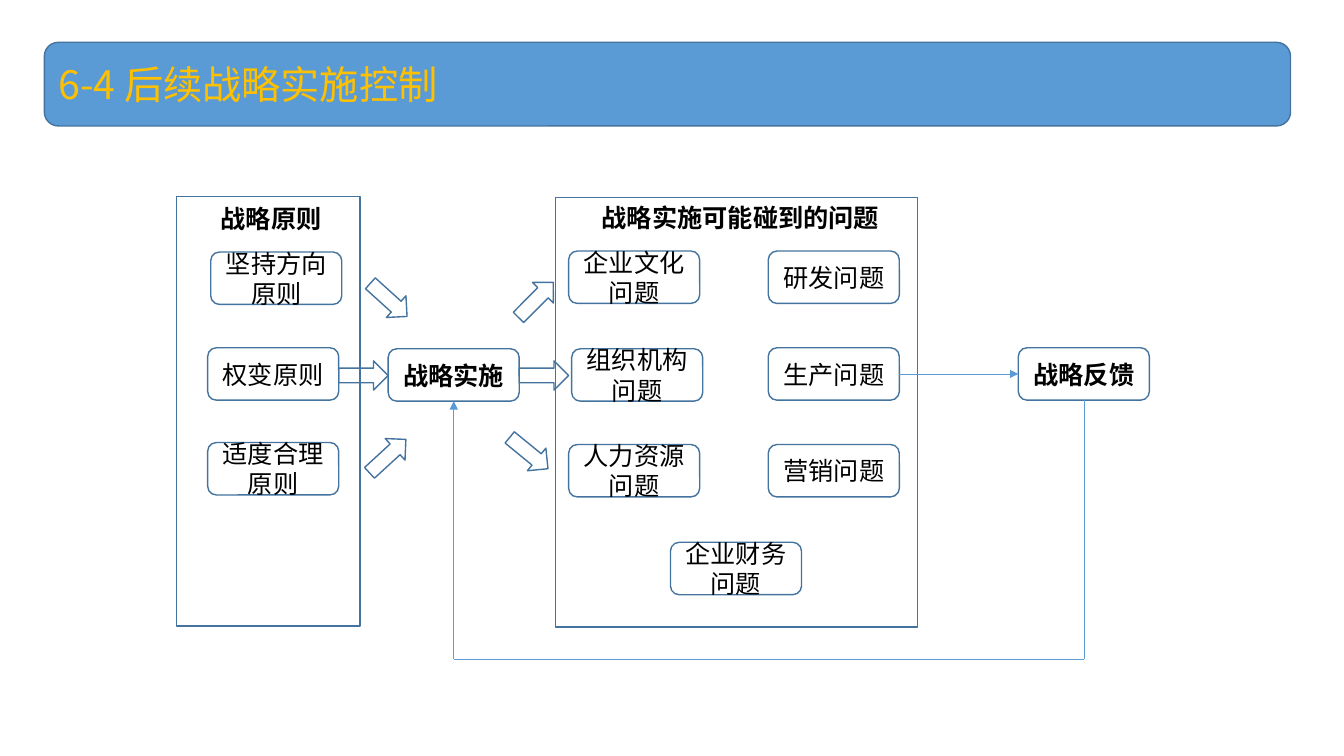
from lxml.etree import SubElement
from pptx import Presentation
from pptx.dml.color import RGBColor
from pptx.enum.shapes import MSO_CONNECTOR as Connector, MSO_SHAPE as Shape
from pptx.enum.text import MSO_ANCHOR as Anchor, PP_ALIGN as Align
from pptx.oxml.ns import qn
from pptx.util import Inches, Pt

OUTLINE, ACCENT, GOLD, BLACK = "43739E", "5B9BD5", "FFC000", "000000"
BOX_WIDTH, BOX_HEIGHT = 1.3, 0.52
ARROW_WIDTH, ARROW_HEIGHT = 0.49, 0.29
TOP, LEFT, BOTTOM, RIGHT = range(4)

PRINCIPLES = [
    ("坚持方向原则", 2.09, 2.5),
    ("权变原则", 2.06, 3.45),
    ("适度合理原则", 2.06, 4.39),
]
PROBLEMS = [
    ("企业文化问题", 5.64, 2.49),
    ("组织机构问题", 5.67, 3.46),
    ("人力资源问题", 5.64, 4.41),
    ("研发问题", 7.62, 2.49),
    ("营销问题", 7.62, 4.41),
    ("企业财务问题", 6.65, 5.38),
]
ARROWS = [
    (3.61, 2.83, 42.1),
    (3.36, 3.58, 0),
    (3.6, 4.38, 317.4),
    (5.07, 2.83, 314.8),
    (5.15, 3.58, 0),
    (5, 4.35, 39.3),
]


def color(value):
    """Turn a hex string into a colour."""
    return RGBColor.from_string(value)


def write(shape, text, size=18, font="Calibri", fill=BLACK, bold=False, align=Align.CENTER):
    """Write one formatted paragraph into a shape."""
    para = shape.text_frame.paragraphs[0]
    para.alignment = align
    span = para.add_run()
    span.text = text
    span.font.size = Pt(size)
    span.font.name = font
    span.font.bold = bold
    span.font.color.rgb = color(fill)


def add_outline(page, kind, left, top, width, height, fill=None):
    """Add an outlined shape, hollow unless a fill is given."""
    shape = page.shapes.add_shape(kind, Inches(left), Inches(top), Inches(width), Inches(height))
    shape.shadow.inherit = False
    if fill:
        shape.fill.solid()
        shape.fill.fore_color.rgb = color(fill)
    else:
        shape.fill.background()
    shape.line.color.rgb = color(OUTLINE)
    shape.line.width = Pt(1)
    shape.text_frame.word_wrap = True
    shape.text_frame.vertical_anchor = Anchor.MIDDLE
    return shape


def add_box(page, text, left, top, bold=False):
    """Add a rounded box with a label."""
    box = add_outline(page, Shape.ROUNDED_RECTANGLE, left, top, BOX_WIDTH, BOX_HEIGHT)
    write(box, text, bold=bold)
    return box


def add_arrow(page, left, top, rotation):
    """Add a hollow block arrow."""
    arrow = add_outline(page, Shape.RIGHT_ARROW, left, top, ARROW_WIDTH, ARROW_HEIGHT)
    arrow.rotation = rotation


def add_heading(page, text, left, top, width):
    """Add the bold heading of a frame."""
    box = page.shapes.add_textbox(Inches(left), Inches(top), Inches(width), Inches(0.4))
    box.text_frame.word_wrap = True
    write(box, text, bold=True, align=Align.LEFT)


def add_line(page, start, end, head=False):
    """Add a thin straight connector, with an arrowhead at its end if asked."""
    points = [Inches(value) for value in (*start, *end)]
    line = page.shapes.add_connector(Connector.STRAIGHT, *points)
    line.line.color.rgb = color(ACCENT)
    line.line.width = Pt(0.5)
    if head:
        SubElement(line.line._get_or_add_ln(), qn("a:tailEnd"), type="triangle")
    SubElement(line._element.spPr, qn("a:effectLst"))
    return line


def add_feedback_loop(page, action, production, feedback):
    """Join production to feedback and lead feedback back to the action."""
    add_forward = add_line(page, (8.92, 3.71), (10.1, 3.71), head=True)
    add_forward.begin_connect(production, RIGHT)
    add_forward.end_connect(feedback, LEFT)
    right_corner, left_corner = (10.75, 6.54), (4.5, 6.54)
    down = add_line(page, (10.75, 3.97), right_corner)
    down.begin_connect(feedback, BOTTOM)
    add_line(page, right_corner, left_corner)
    up = add_line(page, left_corner, (4.5, 3.98), head=True)
    up.end_connect(action, BOTTOM)


def main():
    """Build the slide and save it."""
    deck = Presentation()
    deck.slide_width, deck.slide_height = Inches(13.33), Inches(7.5)
    page = deck.slides.add_slide(deck.slide_layouts[6])

    banner = add_outline(page, Shape.ROUNDED_RECTANGLE, 0.44, 0.42, 12.36, 0.83, fill=ACCENT)
    write(banner, "6-4 后续战略实施控制", size=28, font="Noto Sans CJK SC", fill=GOLD, align=Align.LEFT)

    add_outline(page, Shape.RECTANGLE, 1.75, 1.95, 1.82, 4.26)
    add_outline(page, Shape.RECTANGLE, 5.51, 1.96, 3.59, 4.26)
    add_heading(page, "战略原则", 2.09, 1.97, 1.36)
    add_heading(page, "战略实施可能碰到的问题", 5.87, 1.96, 3.08)

    for text, left, top in PRINCIPLES + PROBLEMS:
        add_box(page, text, left, top)
    for left, top, rotation in ARROWS:
        add_arrow(page, left, top, rotation)

    action = add_box(page, "战略实施", 3.85, 3.46, bold=True)
    production = add_box(page, "生产问题", 7.62, 3.45)
    feedback = add_box(page, "战略反馈", 10.1, 3.45, bold=True)
    add_feedback_loop(page, action, production, feedback)

    deck.save("out.pptx")


if __name__ == "__main__":
    main()
